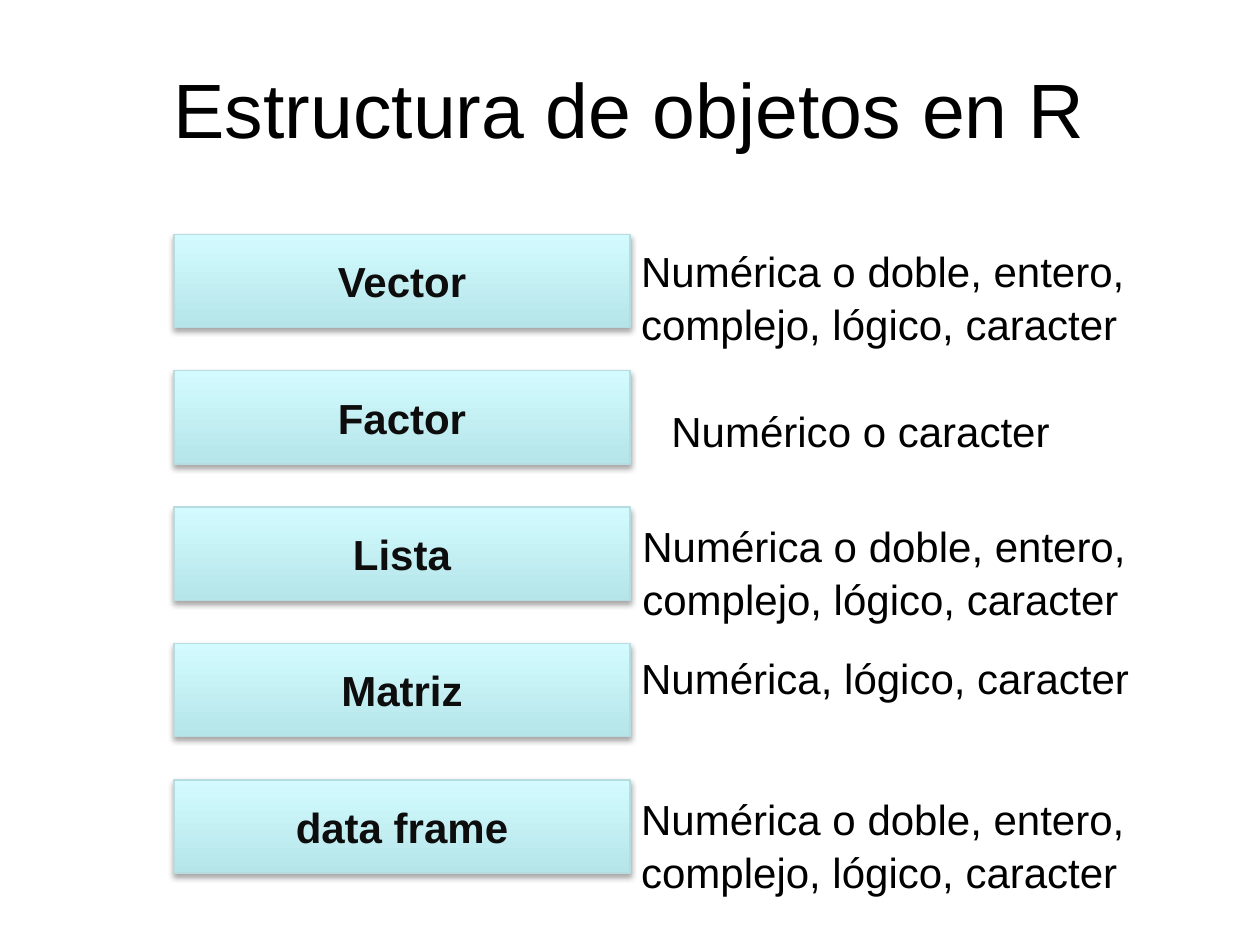
from lxml.etree import SubElement
from pptx import Presentation
from pptx.dml.color import RGBColor
from pptx.enum.shapes import MSO_SHAPE
from pptx.enum.text import MSO_ANCHOR, MSO_AUTO_SIZE, PP_ALIGN
from pptx.oxml.ns import qn
from pptx.util import Inches, Pt

TITLE = "Estructura de objetos en R"
ALL_TYPES = "Numérica o doble, entero, complejo, lógico, caracter"
# structure, allowed types, text left, text drop below the box top, text width
ROWS = [
    ("Vector", ALL_TYPES, 4.99, 0.02, 5),
    ("Factor", "Numérico o caracter", 5.23, 0.21, 4.02),
    ("Lista", ALL_TYPES, 5, 0.04, 5),
    ("Matriz", "Numérica, lógico, caracter", 4.99, 0, 5),
    ("data frame", ALL_TYPES, 4.99, 0.04, 5),
]
COLORS = {"text": "000000", "label": "0D0D0D", "bottom": "B5E5E9",
          "top": "D3FBFF", "line": "B6DCDF", "shadow": "000000"}
BOX_LEFT, BOX_W, BOX_H = 1.38, 3.62, 0.74
FIRST_TOP, LAST_TOP = 1.86, 6.19
PITCH = (LAST_TOP - FIRST_TOP) / (len(ROWS) - 1)

TITLE_FONT = {"size": Pt(44), "name": "Arial"}
LABEL_FONT = {"size": Pt(24), "name": "Arial", "bold": True}
BODY_FONT = {"size": Pt(24), "name": "Arial"}


def rgb(key):
    return RGBColor.from_string(COLORS[key])


def write(sp, text, font, color, align, anchor):
    tf = sp.text_frame
    tf.word_wrap = True
    tf.vertical_anchor = anchor
    p = tf.paragraphs[0]
    p.alignment = align
    r = p.add_run()
    r.text = text
    for name, value in font.items():
        setattr(r.font, name, value)
    r.font.color.rgb = rgb(color)
    return p


def add_shadow(sp):
    sp.shadow.inherit = False
    effects = sp._element.spPr.find(qn("a:effectLst"))
    shadow = SubElement(effects, qn("a:outerShdw"), blurRad=str(Pt(3.1)),
                        dist=str(Pt(1.8)), dir="5400000", rotWithShape="0")
    color = SubElement(shadow, qn("a:srgbClr"), val=COLORS["shadow"])
    SubElement(color, qn("a:alpha"), val="35000")


def add_label(slide, text, top):
    sp = slide.shapes.add_shape(MSO_SHAPE.RECTANGLE, Inches(BOX_LEFT), Inches(top),
                                Inches(BOX_W), Inches(BOX_H))
    sp.fill.gradient()
    sp.fill.gradient_angle = 90
    for stop, key, position in zip(sp.fill.gradient_stops, ("bottom", "top"), (0, 1)):
        stop.color.rgb = rgb(key)
        stop.position = position
    sp.line.color.rgb = rgb("line")
    sp.line.width = Pt(0.75)
    add_shadow(sp)
    write(sp, text, LABEL_FONT, "label", PP_ALIGN.CENTER, MSO_ANCHOR.MIDDLE)


def add_types(slide, text, left, top, width):
    height = 0.71 if text == ALL_TYPES else 0.5
    sp = slide.shapes.add_textbox(Inches(left), Inches(top), Inches(width), Inches(height))
    p = write(sp, text, BODY_FONT, "text", PP_ALIGN.LEFT, MSO_ANCHOR.TOP)
    p.line_spacing = 1.05
    sp.text_frame.auto_size = MSO_AUTO_SIZE.SHAPE_TO_FIT_TEXT


def main():
    prs = Presentation()
    prs.slide_width, prs.slide_height = Inches(10), Inches(7.5)
    slide = prs.slides.add_slide(prs.slide_layouts[5])

    title = slide.shapes.title
    title.left, title.top = Inches(0.75), Inches(0.05)
    title.width, title.height = Inches(8.5), Inches(1.61)
    write(title, TITLE, TITLE_FONT, "text", PP_ALIGN.CENTER, MSO_ANCHOR.MIDDLE)

    for i, (label, types, left, drop, width) in enumerate(ROWS):
        top = FIRST_TOP + i * PITCH
        add_label(slide, label, top)
        add_types(slide, types, left, top + drop, width)
    prs.save("out.pptx")


if __name__ == "__main__":
    main()
